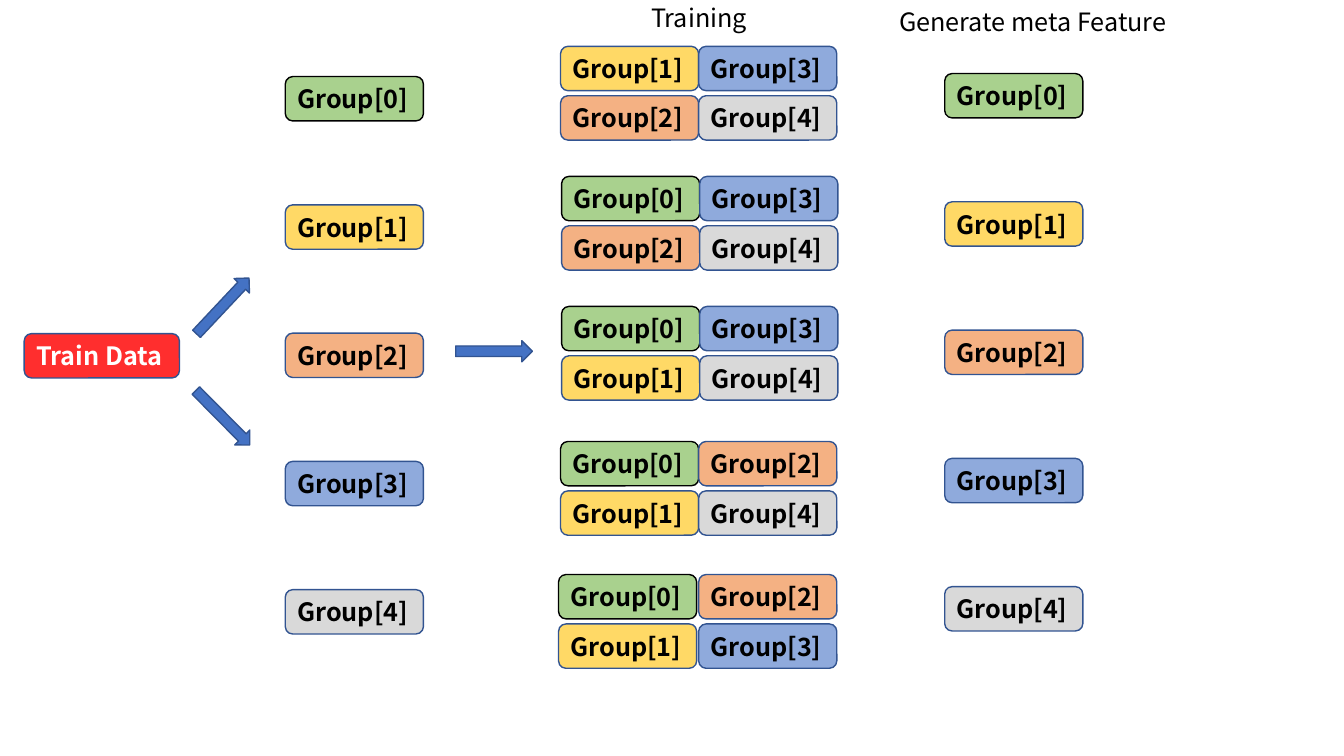
import pptx
import pptx.util
import pptx.dml.color
import pptx.enum.shapes
import pptx.enum.text
import pptx.oxml.ns
import lxml.etree
from dataclasses import dataclass

Inches = pptx.util.Inches
SHAPES = pptx.enum.shapes.MSO_SHAPE


@dataclass(frozen=True)
class Theme:
    font: str = "Noto Sans CJK SC"
    size: int = 18
    text: str = "000000"
    inverse_text: str = "FFFFFF"
    outline: str = "325491"
    arrow: str = "4472C4"
    train: str = "FF0707"
    train_opacity: int = 84


THEME = Theme()

# name, fill, outline
GROUPS = [
    ("Group[0]", "A9D18E", THEME.text),
    ("Group[1]", "FFD966", THEME.outline),
    ("Group[2]", "F4B183", THEME.outline),
    ("Group[3]", "8FAADC", THEME.outline),
    ("Group[4]", "D9D9D9", THEME.outline),
]
# left of each column, top of the block; fold n trains on every group but n
FOLDS = [
    ((5.56, 6.93), 0.46),
    ((5.57, 6.94), 1.75),
    ((5.57, 6.94), 3.04),
    ((5.56, 6.93), 4.38),
    ((5.54, 6.93), 5.70),
]
# left, top of the first group, top of the last group
GROUP_COLUMNS = [(2.83, 0.76, 5.85), (9.37, 0.73, 5.82)]
# left, top, rotation
ARROWS = [(1.83, 2.93, 313.2), (4.52, 3.38, 0), (1.83, 4.04, 45.3)]
# text, left, top, width
HEADINGS = [
    ("Training", 6.36, -0.03, 1.16),
    ("Generate meta Feature", 8.82, 0.01, 3.05),
]
GROUP_WIDTH, BOX_HEIGHT, FOLD_ROW_STEP = 1.37, 0.44, 0.49
ARROW_WIDTH, ARROW_HEIGHT = 0.76, 0.21


def rgb(color):
    return pptx.dml.color.RGBColor.from_string(color)


def write(shape, text, color, bold):
    frame = shape.text_frame
    frame.word_wrap = True
    paragraph = frame.paragraphs[0]
    paragraph.text = text
    paragraph.alignment = pptx.enum.text.PP_ALIGN.LEFT
    font = paragraph.font
    font.name, font.size, font.bold = THEME.font, pptx.util.Pt(THEME.size), bold
    font.color.rgb = rgb(color)


def add_shape(slide, kind, left, top, width, height, fill, outline):
    shape = slide.shapes.add_shape(
        kind, Inches(left), Inches(top), Inches(width), Inches(height))
    shape.shadow.inherit = False
    shape.fill.solid()
    shape.fill.fore_color.rgb = rgb(fill)
    shape.line.color.rgb = rgb(outline)
    shape.line.width = pptx.util.Pt(1)
    return shape


def add_group(slide, number, left, top):
    name, fill, outline = GROUPS[number]
    box = add_shape(slide, SHAPES.ROUNDED_RECTANGLE, left, top,
                    GROUP_WIDTH, BOX_HEIGHT, fill, outline)
    write(box, name, THEME.text, True)


def add_train_data(slide):
    box = add_shape(slide, SHAPES.ROUNDED_RECTANGLE, 0.24, 3.31,
                    1.54, BOX_HEIGHT, THEME.train, THEME.outline)
    write(box, "Train Data", THEME.inverse_text, True)
    qn = pptx.oxml.ns.qn
    color = box.fill._xPr.find(qn("a:solidFill")).find(qn("a:srgbClr"))
    alpha = lxml.etree.SubElement(color, qn("a:alpha"))
    alpha.set("val", str(THEME.train_opacity * 1000))


def add_fold(slide, held_out, lefts, top):
    """Place the four remaining groups in two columns, filled downwards."""
    training = [n for n in range(len(GROUPS)) if n != held_out]
    for position, number in enumerate(training):
        column, row = divmod(position, 2)
        add_group(slide, number, lefts[column], top + row * FOLD_ROW_STEP)


def main():
    presentation = pptx.Presentation()
    presentation.slide_width = Inches(13.33)
    presentation.slide_height = Inches(7.5)
    slide = presentation.slides.add_slide(presentation.slide_layouts[6])

    add_train_data(slide)
    for left, first_top, last_top in GROUP_COLUMNS:
        step = (last_top - first_top) / (len(GROUPS) - 1)
        for number in range(len(GROUPS)):
            add_group(slide, number, left, first_top + number * step)
    for held_out, (lefts, top) in enumerate(FOLDS):
        add_fold(slide, held_out, lefts, top)
    for left, top, rotation in ARROWS:
        arrow = add_shape(slide, SHAPES.RIGHT_ARROW, left, top, ARROW_WIDTH,
                          ARROW_HEIGHT, THEME.arrow, THEME.outline)
        arrow.rotation = rotation
    for text, left, top, width in HEADINGS:
        heading = slide.shapes.add_textbox(
            Inches(left), Inches(top), Inches(width), Inches(0.4))
        write(heading, text, THEME.text, False)
        heading.text_frame.auto_size = (
            pptx.enum.text.MSO_AUTO_SIZE.SHAPE_TO_FIT_TEXT)

    presentation.save("out.pptx")


if __name__ == "__main__":
    main()
